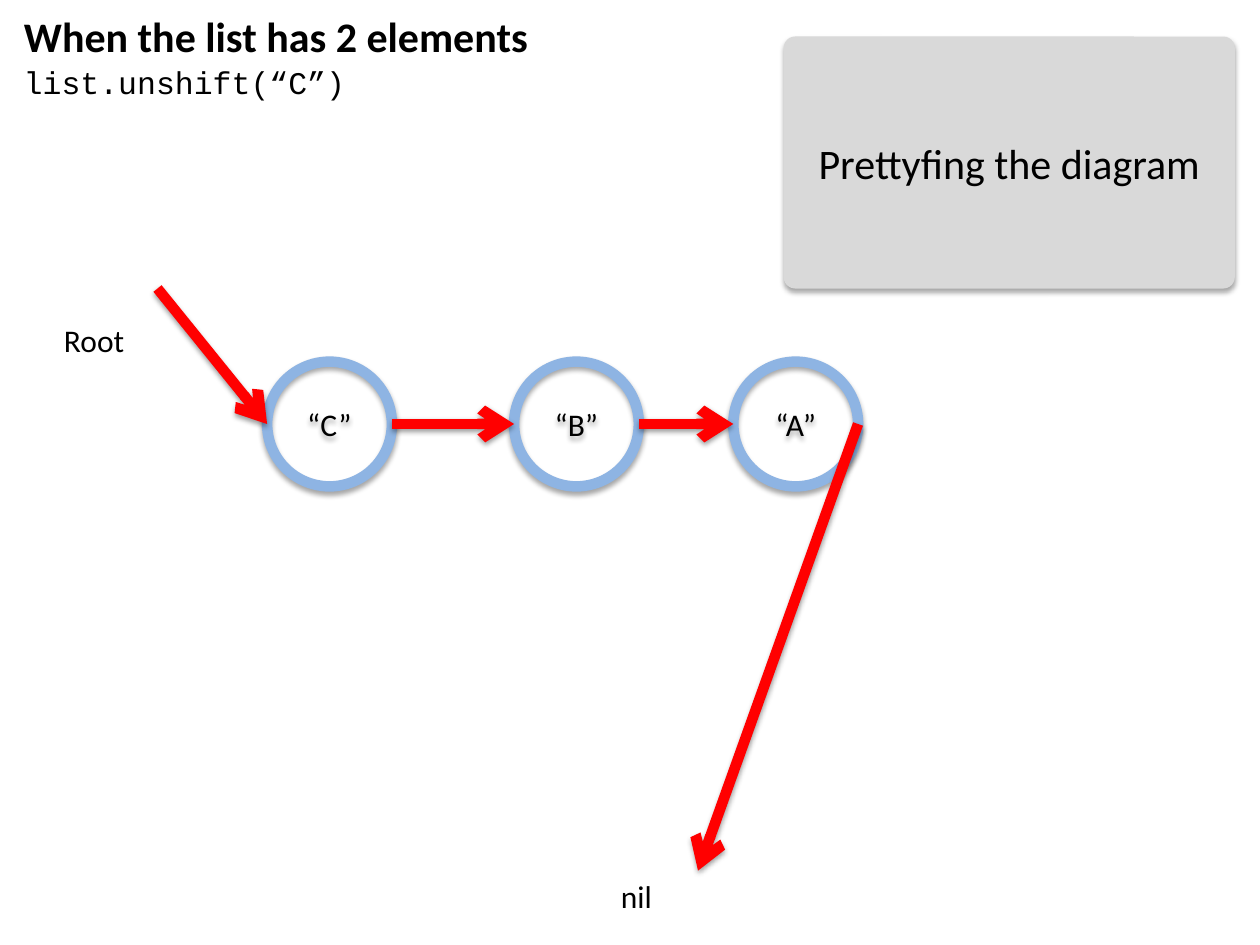
from lxml import etree
from pptx import Presentation
from pptx.dml.color import RGBColor
from pptx.enum.shapes import MSO_CONNECTOR, MSO_SHAPE
from pptx.enum.text import MSO_ANCHOR, PP_ALIGN
from pptx.oxml.ns import qn
from pptx.util import Inches, Pt

STRAIGHT = MSO_CONNECTOR.STRAIGHT
OVAL, ROUNDED = MSO_SHAPE.OVAL, MSO_SHAPE.ROUNDED_RECTANGLE
LEFT, CENTER = PP_ALIGN.LEFT, PP_ALIGN.CENTER
TOP, MIDDLE = MSO_ANCHOR.TOP, MSO_ANCHOR.MIDDLE

# Content
COLORS = {"text": "000000", "panel": "D9D9D9", "ring": "8EB4E3",
          "arrow": "FF0000", "shadow": "000000"}
TITLE = "When the list has 2 elements"
PANEL = "Prettyfing the diagram"
LABELS = [  # text, (left, top, width, height), font
    ("list.unshift(“C”)", (0.09, 0.45, 8.16, 0.4), "Courier New"),
    ("Root", (0.41, 2.5, 0.84, 0.4), "Calibri"),
    ("nil", (4.83, 6.91, 0.71, 0.4), "Calibri"),
]
NODES = [("“C”", 2.12), ("“B”", 4.08), ("“A”", 5.82)]  # text, left
NODE_TOP, NODE_SIZE = 2.87, 0.99
ROOT_START, NIL_END = (1.25, 2.29), (5.54, 6.91)
STROKE = Pt(6)


def color(name):
    return RGBColor.from_string(COLORS[name])


def write(shape, text, size, font="Calibri", bold=False, align=LEFT, anchor=TOP):
    frame = shape.text_frame
    frame.text = text
    frame.word_wrap = True
    frame.vertical_anchor = anchor
    para = frame.paragraphs[0]
    para.alignment = align
    span = para.runs[0].font
    span.name, span.size, span.bold = font, Pt(size), bold
    span.color.rgb = color("text")


def add_shadow(shape, alpha, distance):
    effects = etree.SubElement(shape._element.spPr, qn("a:effectLst"))
    shadow = etree.SubElement(effects, qn("a:outerShdw"), blurRad=str(Pt(3.1)),
                              dist=str(Pt(distance)), dir="5400000", rotWithShape="0")
    tint = etree.SubElement(shadow, qn("a:srgbClr"), val=COLORS["shadow"])
    etree.SubElement(tint, qn("a:alpha"), val=str(alpha * 1000))


def add_block(slide, kind, place, text, size):
    block = slide.shapes.add_shape(kind, *map(Inches, place))
    write(block, text, size, align=CENTER, anchor=MIDDLE)
    return block


def add_arrow(slide, start, end):
    arrow = slide.shapes.add_connector(STRAIGHT, *map(Inches, start + end))
    arrow.line.color.rgb = color("arrow")
    arrow.line.width = STROKE
    etree.SubElement(arrow.line._get_or_add_ln(), qn("a:tailEnd"), type="arrow")
    add_shadow(arrow, 38, 1.6)


def main():
    deck = Presentation()
    deck.slide_width, deck.slide_height = Inches(10), Inches(7.5)
    page = deck.slides.add_slide(deck.slide_layouts[5])

    # Title and labels
    title = page.shapes.title
    title.left, title.top, title.width, title.height = map(Inches, (0.09, 0.03, 4.44, 0.5))
    write(title, TITLE, 24, bold=True)
    for text, place, font in LABELS:
        write(page.shapes.add_textbox(*map(Inches, place)), text, 18, font)

    # Comment panel
    panel = add_block(page, ROUNDED, (6.22, 0.29, 3.58, 2), PANEL, 24)
    panel.adjustments[0] = 0.045
    panel.fill.solid()
    panel.fill.fore_color.rgb = color("panel")
    panel.line.fill.background()
    add_shadow(panel, 35, 1.8)

    # List nodes
    for text, left in NODES:
        node = add_block(page, OVAL, (left, NODE_TOP, NODE_SIZE, NODE_SIZE), text, 18)
        node.fill.background()
        node.line.color.rgb = color("ring")
        node.line.width = STROKE
        add_shadow(node, 35, 1.8)

    # Arrows from the root through every node to nil
    middle = NODE_TOP + NODE_SIZE / 2
    starts = [ROOT_START] + [(left + NODE_SIZE, middle) for _, left in NODES]
    ends = [(left, middle) for _, left in NODES] + [NIL_END]
    for start, end in zip(starts, ends):
        add_arrow(page, start, end)

    deck.save("out.pptx")


if __name__ == "__main__":
    main()
